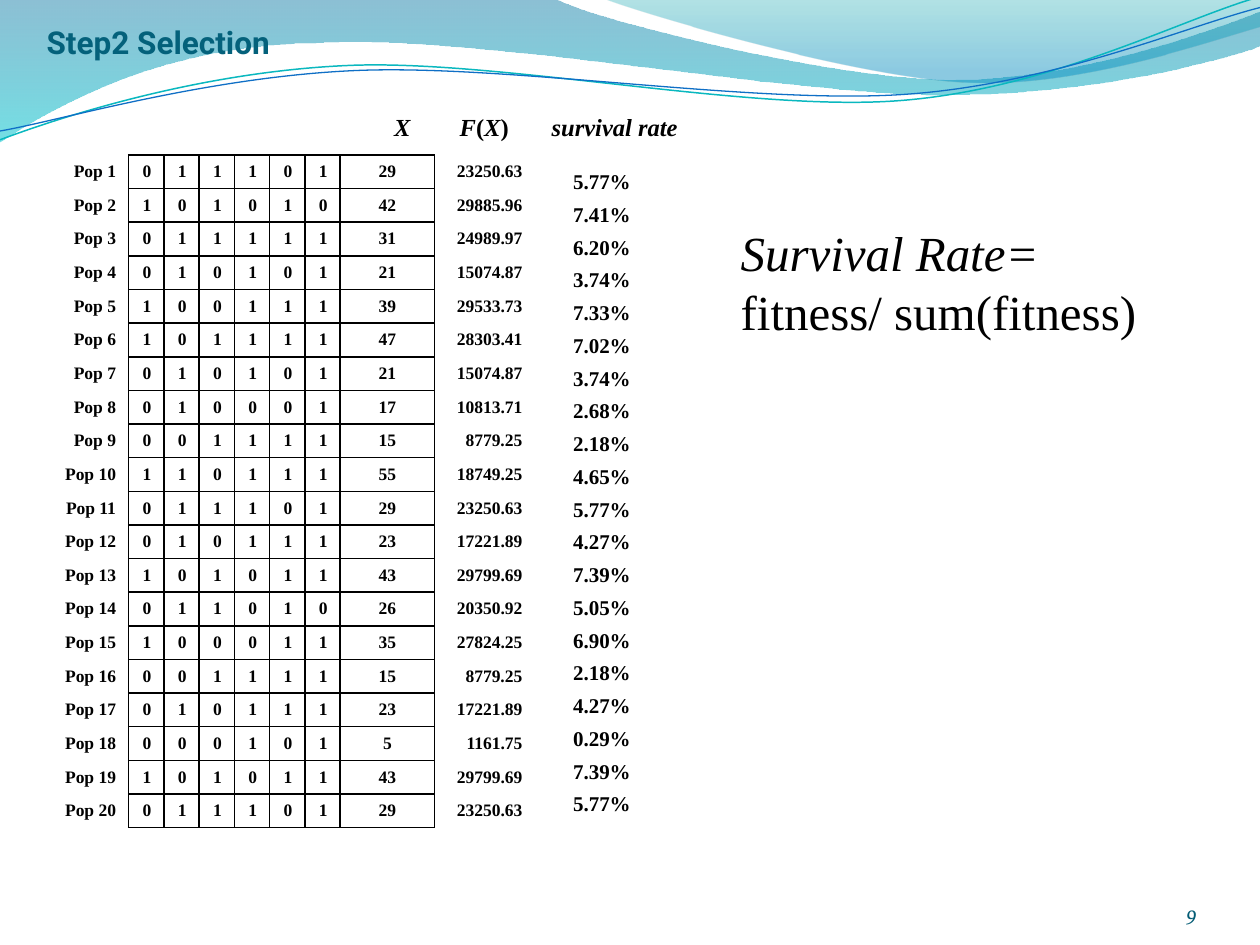
"""Build the genetic algorithm selection slide with its population table."""
from lxml.etree import SubElement as Sub
from pptx import Presentation
from pptx.dml.color import RGBColor as RGB
from pptx.enum.text import MSO_ANCHOR as Anchor, PP_ALIGN as Align
from pptx.oxml.ns import qn
from pptx.util import Inches, Pt

BLACK = RGB(0x00, 0x00, 0x00)
TITLE = RGB(0x04, 0x61, 0x7B)
NUMBER = RGB(0x04, 0x5C, 0x75)
TEAL = RGB(0x0A, 0xB8, 0xBF)
BLUE = RGB(0x0F, 0x6F, 0xC6)
DEEP = RGB(0x00, 0x74, 0xA1)
CYAN = RGB(0x00, 0xC6, 0xCF)
GREEN = RGB(0x00, 0xA1, 0xA9)
SKY = RGB(0x00, 0x8B, 0xBF)
SERIF = "Times New Roman"
PLAIN = "{2D5ABB26-0587-4C30-8999-92F81FD0307C}"

WAVES = [
    ([(0, -0.01), (4.4, -0.01), (4.76, 0.17, 6.64, 0.63, 7.58, 0.63),
      (8.53, 0.63, 9.58, 0.26, 10, 0.09), (10.01, 0.36),
      (9.83, 0.44, 8.7, 0.76, 7.46, 0.75), (6.22, 0.75, 3.82, 0.28, 2.57, 0.34),
      (1.29, 0.35, 0.46, 0.83, -0.01, 1.13)], [(0, DEEP, 45), (100, CYAN, 55)]),
    ([(4.79, -0.01), (5.09, 0.11, 6.82, 0.62, 7.69, 0.65),
      (8.56, 0.69, 9.61, 0.32, 10, 0.21), (10, 0)],
     [(0, GREEN, 30), (80, SKY, 45)]),
]
LINES = [
    ([(0, 1.11), (0.48, 0.93, 1.58, 0.57, 2.77, 0.52),
      (3.95, 0.47, 5.93, 0.89, 7.13, 0.8), (8.33, 0.71, 9.38, 0.15, 9.98, -0.02)],
     TEAL, 0.85),
    ([(0, 1.04), (0.47, 0.96, 1.64, 0.61, 2.83, 0.56),
      (4.03, 0.51, 5.97, 0.83, 7.17, 0.75), (8.36, 0.67, 9.41, 0.21, 10, 0.06)],
     BLUE, 0.75),
]
POPS = [
    (29, "23250.63", "5.77%"), (42, "29885.96", "7.41%"),
    (31, "24989.97", "6.20%"), (21, "15074.87", "3.74%"),
    (39, "29533.73", "7.33%"), (47, "28303.41", "7.02%"),
    (21, "15074.87", "3.74%"), (17, "10813.71", "2.68%"),
    (15, "8779.25", "2.18%"), (55, "18749.25", "4.65%"),
    (29, "23250.63", "5.77%"), (23, "17221.89", "4.27%"),
    (43, "29799.69", "7.39%"), (26, "20350.92", "5.05%"),
    (35, "27824.25", "6.90%"), (15, "8779.25", "2.18%"),
    (23, "17221.89", "4.27%"), (5, "1161.75", "0.29%"),
    (43, "29799.69", "7.39%"), (29, "23250.63", "5.77%"),
]

deck = Presentation()
deck.slide_width, deck.slide_height = Inches(10), Inches(7.5)
slide = deck.slides.add_slide(deck.slide_layouts[5])
shapes = slide.shapes


def draw(route, close):
    """Draw a route of lines and cubic curves given in inches."""
    dots = [(Inches(part[i]), Inches(part[i + 1]))
            for part in route for i in range(0, len(part), 2)]
    pen = shapes.build_freeform(*dots[0])
    pen.add_line_segments(dots[1:], close=close)
    shape = pen.convert_to_shape()
    shape.shadow.inherit = False
    legs = iter(list(shape._element.iter(qn("a:lnTo"))))
    for part in route[1:]:
        leg = next(legs)
        if len(part) == 6:
            curve = leg.makeelement(qn("a:cubicBezTo"))
            leg.addprevious(curve)
            for piece in (leg, next(legs), next(legs)):
                curve.append(piece[0])
                piece.getparent().remove(piece)
    return shape


def style(para, size, color=BLACK, name=SERIF, bold=None, italic=None):
    """Set the font of a paragraph."""
    font = para.font
    font.size, font.name, font.bold, font.italic = Pt(size), name, bold, italic
    font.color.rgb = color


for route, stops in WAVES:
    wave = draw(route, True)
    wave.line.fill.background()
    shell = wave._element.spPr.find(qn("a:custGeom"))
    grad = shell.makeelement(qn("a:gradFill"))
    shell.addnext(grad)
    stack = Sub(grad, qn("a:gsLst"))
    for place, color, alpha in stops:
        stop = Sub(stack, qn("a:gs"), pos=str(place * 1000))
        tint = Sub(stop, qn("a:srgbClr"), val=str(color))
        Sub(tint, qn("a:alpha"), val=str(alpha * 1000))
    Sub(grad, qn("a:lin"), ang="5400000", scaled="0")

for route, color, width in LINES:
    line = draw(route, False)
    line.fill.background()
    line.line.color.rgb = color
    line.line.width = Pt(width)

frame = shapes.add_textbox(Inches(8.67), Inches(6.95), Inches(0.83), Inches(0.4)).text_frame
frame.margin_left = frame.margin_right = frame.margin_top = frame.margin_bottom = 0
frame.vertical_anchor = Anchor.BOTTOM
frame.word_wrap = True
frame.text = "9"
frame.paragraphs[0].alignment = Align.RIGHT
style(frame.paragraphs[0], 12, NUMBER, "Vollkorn", italic=True)

title = shapes.title
shapes._spTree.append(title._element)
title.left, title.top = Inches(0.27), Inches(0.13)
title.width, title.height = Inches(9.29), Inches(0.4)
title.text_frame.text = "Step2 Selection"
title.text_frame.vertical_anchor = Anchor.TOP
head = title.text_frame.paragraphs[0]
head.alignment = Align.LEFT
style(head, 18, TITLE, "Roboto", bold=True)

widths = [0.75] + [0.28] * 6 + [0.75, 0.83]
last = len(widths) - 1
table = shapes.add_table(len(POPS), len(widths), Inches(0.27), Inches(1.23),
                         Inches(sum(widths)), Inches(5.34)).table
table.first_row = table.horz_banding = False
table._tbl.tblPr.find(qn("a:tableStyleId")).text = PLAIN
for col, width in zip(table.columns, widths):
    col.width = Inches(width)
for r, (x, fit, rate) in enumerate(POPS):
    table.rows[r].height = Inches(5.34 / len(POPS))
    for c, word in enumerate([f"Pop {r + 1}", *f"{x:06b}", str(x), fit + " "]):
        cell = table.cell(r, c)
        cell.text = word
        cell.vertical_anchor = Anchor.MIDDLE
        para = cell.text_frame.paragraphs[0]
        para.alignment = Align.CENTER if c == last - 1 else Align.RIGHT
        style(para, 10, bold=True)
        sides = {0: ["lnR"], last: ["lnL"]}.get(c, ["lnL", "lnR", "lnT", "lnB"])
        for side in sides:
            edge = Sub(cell._tc.get_or_add_tcPr(), qn("a:" + side), w=str(Pt(1)))
            Sub(Sub(edge, qn("a:solidFill")), qn("a:srgbClr"), val=str(BLACK))
        cell.fill.background()

frame = shapes.add_textbox(Inches(3.03), Inches(0.84), Inches(2.5), Inches(0.33)).text_frame
frame.word_wrap = True
para = frame.paragraphs[0]
tabs = Sub(para._p.get_or_add_pPr(), qn("a:tabLst"))
for place in (0.52, 1.25):
    Sub(tabs, qn("a:tab"), pos=str(Inches(place)), algn="l")
style(para, 14, bold=True)
for word, slant in [("X\tF", True), ("(", False), ("X", True), (")", False),
                    ("\tsurvival rate", True)]:
    run = para.add_run()
    run.text = word
    run.font.italic = slant

frame = shapes.add_textbox(Inches(4.45), Inches(1.23), Inches(0.71), Inches(5.31)).text_frame
frame.word_wrap = True
frame.text = "\n".join(rate for x, fit, rate in POPS)
for para in frame.paragraphs:
    para.line_spacing = 1.3
    style(para, 12, bold=True)

frame = shapes.add_textbox(Inches(5.78), Inches(1.72), Inches(3.98), Inches(1.04)).text_frame
frame.word_wrap = True
frame.text = "Survival Rate=\nfitness/ sum(fitness)"
for para, slant in zip(frame.paragraphs, (True, False)):
    style(para, 28, italic=slant)

deck.save("out.pptx")
